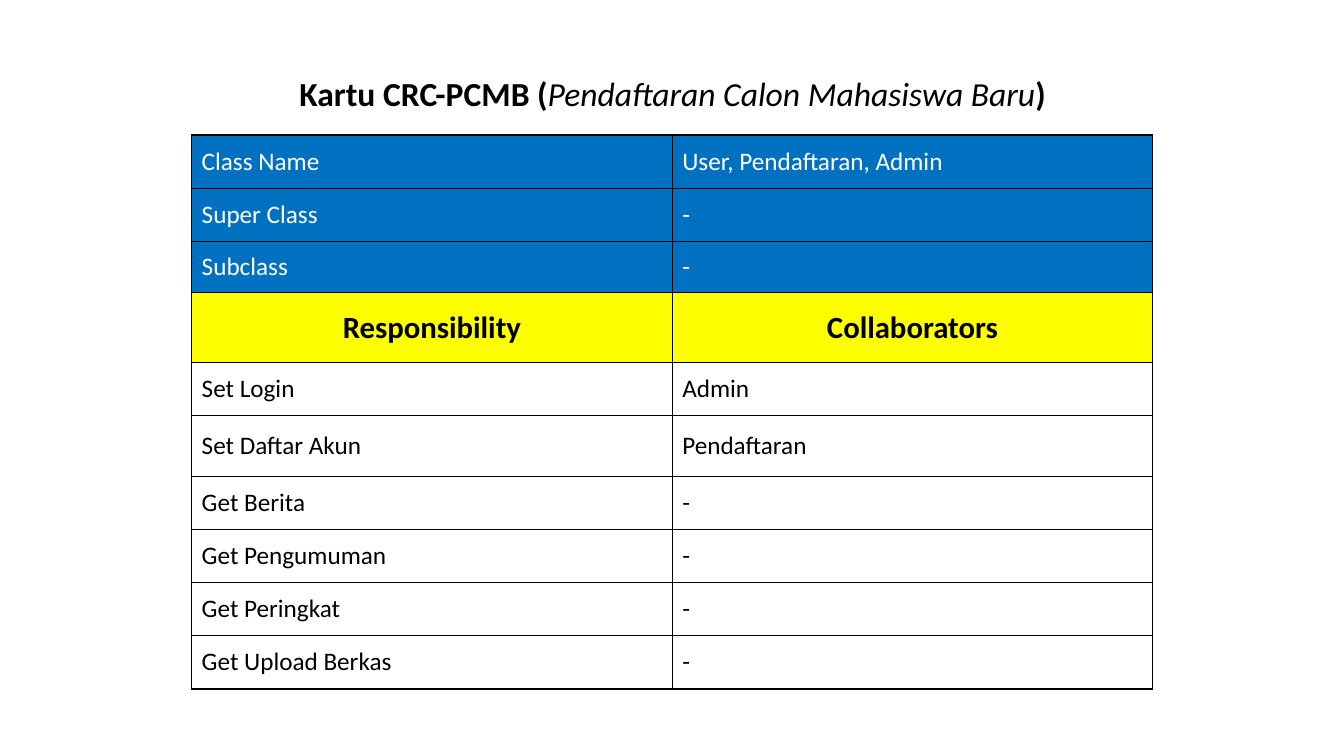
from dataclasses import dataclass
from lxml.etree import SubElement
from pptx import Presentation
from pptx.dml.color import RGBColor as Rgb
from pptx.enum.text import MSO_ANCHOR as Anchor, MSO_AUTO_SIZE as Fit, PP_ALIGN as Align
from pptx.oxml.ns import qn
from pptx.util import Cm, Pt

TITLE = [
    ("Kartu CRC-PCMB (", {"bold": True}),
    ("Pendaftaran Calon Mahasiswa Baru", {"italic": True}),
    (")", {"bold": True}),
]
# kind, height in cm, left text, right text
ROWS = [
    ("top", 1.34, "Class Name", "User, Pendaftaran, Admin"),
    ("top", 1.34, "Super Class", "-"),
    ("top", 1.3, "Subclass", "-"),
    ("head", 1.76, "Responsibility", "Collaborators"),
    ("body", 1.34, "Set Login", "Admin"),
    ("body", 1.52, "Set Daftar Akun", "Pendaftaran"),
    ("body", 1.34, "Get Berita", "-"),
    ("body", 1.34, "Get Pengumuman", "-"),
    ("body", 1.34, "Get Peringkat", "-"),
    ("body", 1.34, "Get Upload Berkas", "-"),
]


@dataclass(frozen=True)
class Theme:
    font: str = "Calibri"
    black: str = "000000"
    white: str = "FFFFFF"
    blue: str = "0070C0"
    yellow: str = "FFFF00"
    title: int = 24
    head: int = 22
    text: int = 18
    line: int = 1


THEME = Theme()
STYLES = {
    "top": (THEME.blue, {"color": THEME.white}),
    "head": (THEME.yellow, {"size": THEME.head, "bold": True, "align": Align.CENTER}),
    "body": (None, {}),
}


def write(para, text, size=THEME.text, color=THEME.black, bold=False,
          italic=False, align=Align.LEFT):
    para.alignment = align
    run = para.add_run()
    run.text = text
    font = run.font
    font.name, font.size = THEME.font, Pt(size)
    font.bold, font.italic = bold, italic
    font.color.rgb = Rgb.from_string(color)


def border(cell):
    """Draw all four sides; call before the fill, which must follow them."""
    props = cell._tc.get_or_add_tcPr()
    for side in ("lnL", "lnR", "lnT", "lnB"):
        line = SubElement(props, qn(f"a:{side}"), w=str(Pt(THEME.line)))
        fill = SubElement(line, qn("a:solidFill"))
        SubElement(fill, qn("a:srgbClr"), val=THEME.black)


def paint(cell, color):
    if color:
        cell.fill.solid()
        cell.fill.fore_color.rgb = Rgb.from_string(color)
    else:
        cell.fill.background()


def add_title(slide):
    title = slide.shapes.title
    title.left, title.top = Cm(7.29), Cm(1.7)
    title.width, title.height = Cm(19.76), Cm(1.27)
    frame = title.text_frame
    frame.word_wrap = False
    frame.auto_size = Fit.NONE
    frame.vertical_anchor = Anchor.MIDDLE
    for text, form in TITLE:
        write(frame.paragraphs[0], text, size=THEME.title, **form)


def add_card(slide):
    high = sum(row[1] for row in ROWS)
    table = slide.shapes.add_table(
        len(ROWS), 2, Cm(4.83), Cm(3.4), Cm(24.22), Cm(high)).table
    table.first_row = table.horz_banding = False
    for row, (kind, tall, *texts) in zip(table.rows, ROWS):
        row.height = Cm(tall)
        color, form = STYLES[kind]
        for cell, text in zip(row.cells, texts):
            cell.vertical_anchor = Anchor.MIDDLE
            border(cell)
            paint(cell, color)
            write(cell.text_frame.paragraphs[0], text, **form)


def main():
    deck = Presentation()
    deck.slide_width, deck.slide_height = Cm(33.87), Cm(19.05)
    slide = deck.slides.add_slide(deck.slide_layouts[5])
    add_title(slide)
    add_card(slide)
    deck.save("out.pptx")


if __name__ == "__main__":
    main()
